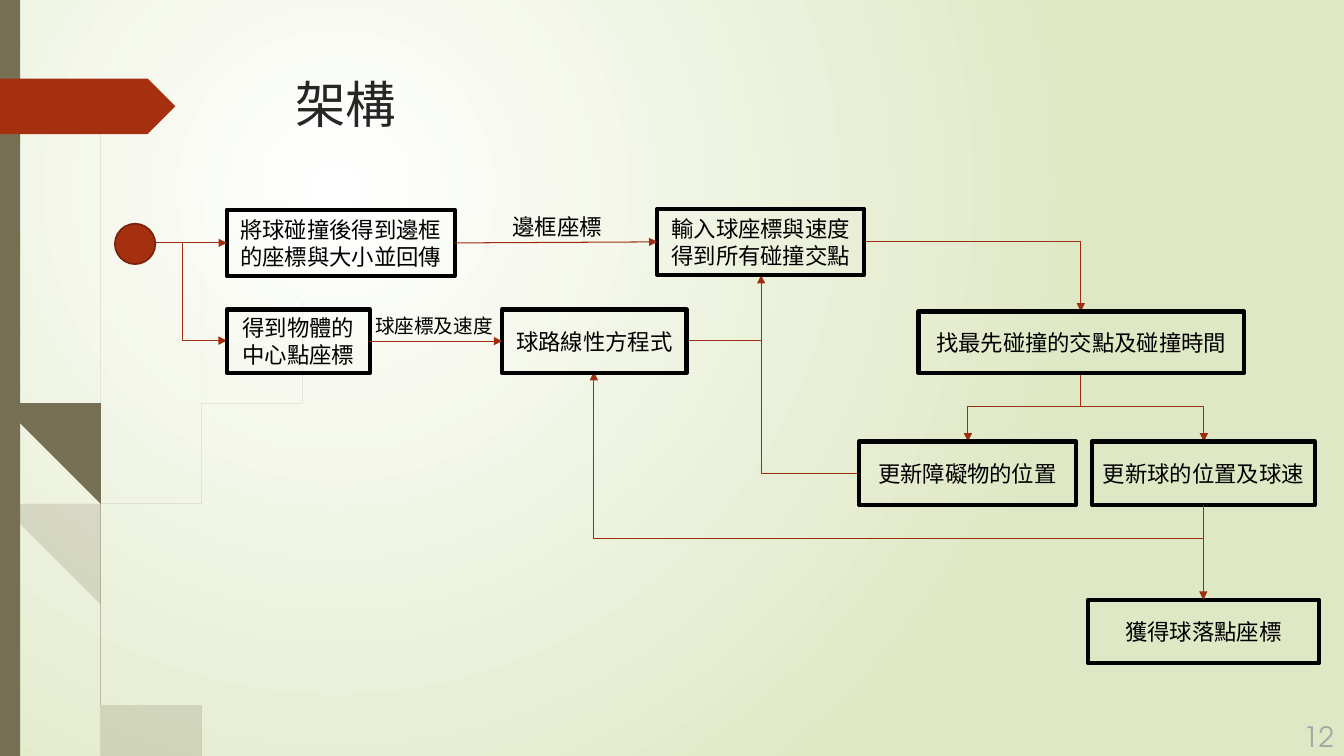
from lxml import etree
from pptx import Presentation
from pptx import util as u
from pptx.dml.color import RGBColor
from pptx.enum import shapes, text
from pptx.oxml.ns import qn

W, H = 13.33, 7.5
RED, OLIVE, BLACK = "A53010", "766F54", "000000"
CJK, LATIN = "Noto Sans CJK SC", "TeX Gyre Adventor"

BOXES = {
    "border": ((2.25, 2.08, 2.26, 0.66), ["將球碰撞後得到邊框的座標與大小並回傳"]),
    "hits": ((6.52, 2.07, 2.05, 0.66), ["輸入球座標與速度", "得到所有碰撞交點"]),
    "first": ((9.11, 3.09, 3.23, 0.61), ["找最先碰撞的交點及碰撞時間"]),
    "equation": ((4.98, 3.07, 1.83, 0.63), ["球路線性方程式"]),
    "center": ((2.25, 3.07, 1.42, 0.63), ["得到物體的", "中心點座標"]),
    "obstacle": ((8.52, 4.38, 2.15, 0.63), ["更新障礙物的位置"]),
    "ball": ((10.83, 4.38, 2.21, 0.63), ["更新球的位置及球速"]),
    "landing": ((10.79, 5.95, 2.29, 0.63), ["獲得球落點座標"]),
}
LABELS = [
    ((3.4, 3.09, 1.81, 0.31), "球座標及速度", 14),
    ((4.62, 2.1, 1.81, 0.34), "邊框座標", 16),
]
STRAIGHT = [("border", 3, "hits", 1), ("center", 3, "equation", 1), ("ball", 2, "landing", 0)]
ELBOWS = [
    ((8.57, 2.4), (10.72, 3.09), 2, False, None, True),
    ((10.72, 3.69), (9.6, 4.38), 3, True, 0.5, True),
    ((10.72, 3.69), (11.94, 4.38), 3, True, 0.5, True),
    ((6.81, 3.38), (7.55, 2.73), 2, False, None, True),
    ((11.94, 5.01), (5.89, 3.69), 3, True, -0.253, True),
    ((1.81, 2.41), (2.25, 3.38), 2, True, None, True),
    ((8.52, 4.7), (7.55, 3.35), 2, False, None, False),
]
PALE_STEMS = [
    [(0, 2.9, 0.01), (0.12, 3.44, 0.04), (0.38, 4.5, 0.05), (0.59, 5.21, 0.05),
     (0.88, 6.03, 0.05), (1.25, 6.93, 0.04), (1.52, 7.5, 0.05)],
    [(0.11, 3.5, 0), (0.29, 4.7, 0.03), (0.68, 6.2, 0.05), (0.94, 6.9, 0.04),
     (1.03, 7.12, 0.04), (1.19, 7.5, 0.1)],
    [(3.12, 1.53, 0), (2.28, 2.44, 0.02), (1.59, 3.48, 0.02), (1.08, 4.62, 0.03),
     (0.86, 5.84, 0.03), (0.86, 6.05, 0.04), (0.89, 6.46, 0.04), (1.04, 7.11, 0.02)],
]
DARK_STEMS = [
    [(0.04, 0, 0.01), (0.07, 1.1, 0.01), (0.18, 2.33, 0.02), (0.34, 3.55, 0.03),
     (0.58, 4.72, 0.04), (0.9, 5.91, 0.05), (1.09, 6.43, 0.05), (1.34, 7.07, 0.04),
     (1.54, 7.5, 0.05)],
    [(0.7, 1.41, 0), (0.57, 2.45, 0.02), (0.53, 3.49, 0.02), (0.57, 4.6, 0.04),
     (0.7, 5.57, 0.04), (0.96, 6.58, 0.05), (1.12, 7.03, 0.04), (1.2, 7.22, 0.05),
     (1.31, 7.5, 0.09)],
    [(2.61, 3.44, 0), (2.04, 4.06, 0.02), (1.57, 4.75, 0.02), (1.24, 5.52, 0.03),
     (1.09, 6.32, 0.04), (1.09, 6.5, 0.05), (1.13, 6.93, 0.05), (1.22, 7.22, 0.02)],
]

prs = Presentation()
prs.slide_width, prs.slide_height = u.Inches(W), u.Inches(H)
slide = prs.slides.add_slide(prs.slide_layouts[6])


def rgb(c):
    return RGBColor.from_string(c)


def inches(*lengths):
    return [u.Inches(v) for v in lengths]


def paint(sp, fill=None, line=None, width=1):
    sp.shadow.inherit = False
    if fill:
        sp.fill.solid()
        sp.fill.fore_color.rgb = rgb(fill)
    else:
        sp.fill.background()
    if line:
        sp.line.color.rgb = rgb(line)
        sp.line.width = u.Pt(width)
    else:
        sp.line.fill.background()


def write(sp, lines, size, color=BLACK, font=CJK, align="CENTER", anchor="MIDDLE", spacing=None):
    tf = sp.text_frame
    tf.word_wrap = True
    tf.vertical_anchor = getattr(text.MSO_ANCHOR, anchor)
    tf.text = "\n".join(lines)
    for p in tf.paragraphs:
        p.alignment = getattr(text.PP_ALIGN, align)
        p.line_spacing = spacing
        for r in p.runs:
            r.font.size, r.font.name = u.Pt(size), font
            r.font.color.rgb = rgb(color)
            etree.SubElement(r.font._element, qn("a:ea"), typeface=font)


def add_text(at, *args, **kw):
    write(slide.shapes.add_textbox(*inches(*at)), *args, **kw)


def add_preset(kind, at, *style):
    sp = slide.shapes.add_shape(getattr(shapes.MSO_SHAPE, kind), *inches(*at))
    paint(sp, *style)
    return sp


def spline(stem, steps=8):
    pts = [stem[0], *stem, stem[-1]]
    for a, b, c, d in zip(pts, pts[1:], pts[2:], pts[3:]):
        for i in range(steps):
            t = i / steps
            yield [(2 * q + (r - p) * t + (2 * p - 5 * q + 4 * r - s) * t ** 2
                    + (3 * q - p - 3 * r + s) * t ** 3) / 2 for p, q, r, s in zip(a, b, c, d)]
    yield stem[-1]


def add_stem(stem, opacity):
    curve = list(spline(stem))
    outline = [(x - w / 2, y) for x, y, w in curve] + [(x + w / 2, y) for x, y, w in curve[::-1]]
    fb = slide.shapes.build_freeform(*outline[0], scale=u.Inches(1))
    fb.add_line_segments(outline[1:])
    sp = fb.convert_to_shape()
    paint(sp, OLIVE)
    color = sp._element.spPr.find(".//" + qn("a:srgbClr"))
    etree.SubElement(color, qn("a:alpha"), val=str(opacity * 1000))


def add_line(kind, start, end, arrow=True):
    cx = slide.shapes.add_connector(getattr(shapes.MSO_CONNECTOR, kind), *inches(*start, *end))
    cx.line.color.rgb = rgb("9E2E0F")
    cx.line.width = u.Pt(0.75)
    if arrow:
        etree.SubElement(cx.line._get_or_add_ln(), qn("a:tailEnd"), type="triangle")
    etree.SubElement(cx._element.spPr, qn("a:effectLst"))
    return cx


def add_elbow(start, end, bends, down_first, adj, arrow):
    cx = add_line("ELBOW", start, end, arrow)
    spPr = cx._element.spPr
    geom = spPr.find(qn("a:prstGeom"))
    geom.set("prst", f"bentConnector{bends}")
    if adj is not None:
        guides = geom.find(qn("a:avLst"))
        etree.SubElement(guides, qn("a:gd"), name="adj1", fmla=f"val {round(adj * 100000)}")
    dx, dy = end[0] - start[0], end[1] - start[1]
    xfrm = spPr.find(qn("a:xfrm"))
    turned = down_first or (bends == 2 and False)
    if turned:
        w, h = abs(dy), abs(dx)
        mid_x, mid_y = (start[0] + end[0]) / 2, (start[1] + end[1]) / 2
        cx.left, cx.top, cx.width, cx.height = inches(mid_x - w / 2, mid_y - h / 2, w, h)
        xfrm.set("rot", "5400000")
        xfrm.set("flipH", str(int(dy < 0)))
        xfrm.set("flipV", str(int(dx > 0)))


bg = slide.background.fill
bg.gradient()
for stop, color in zip(bg.gradient_stops, ("FFFFFF", "DFE8C4")):
    stop.color.rgb = rgb(color)
grad = slide._element.find(".//" + qn("a:gradFill"))
grad.remove(grad.find(qn("a:lin")))
circle = etree.SubElement(grad, qn("a:path"), path="circle")
etree.SubElement(circle, qn("a:fillToRect"), l="50000", t="50000", r="100000", b="100000")

for stems, opacity in ((PALE_STEMS, 20), (DARK_STEMS, 100)):
    for stem in stems:
        add_stem(stem, opacity)
add_preset("RECTANGLE", (0, 0, 0.2, H), OLIVE)
add_preset("PENTAGON", (0, 0.78, 1.74, 0.55), RED)
for elbow in ELBOWS:
    add_elbow(*elbow)
add_text((2.83, 0.68, 9.74, 1.4), ["架構"], 36, "262626", align="LEFT", anchor="TOP")
add_text((12.48, 7.1, 0.85, 0.4), ["12"], 20, "A6A6A6", LATIN, "RIGHT")
add_preset("OVAL", (1.14, 2.22, 0.4, 0.4), RED, "78230B", 1.25)

nodes = {}
for name, (at, lines) in BOXES.items():
    nodes[name] = add_preset("RECTANGLE", at, None, BLACK, 3)
    write(nodes[name], lines, 16)
for at, label, size in LABELS:
    add_text(at, [label], size, anchor="TOP", spacing=0.9)

add_line("STRAIGHT", (1.54, 2.41), (2.25, 2.41)).end_connect(nodes["border"], 1)
for source, out, target, into in STRAIGHT:
    cx = add_line("STRAIGHT", (0, 0), (1, 1))
    cx.begin_connect(nodes[source], out)
    cx.end_connect(nodes[target], into)

prs.save("out.pptx")
